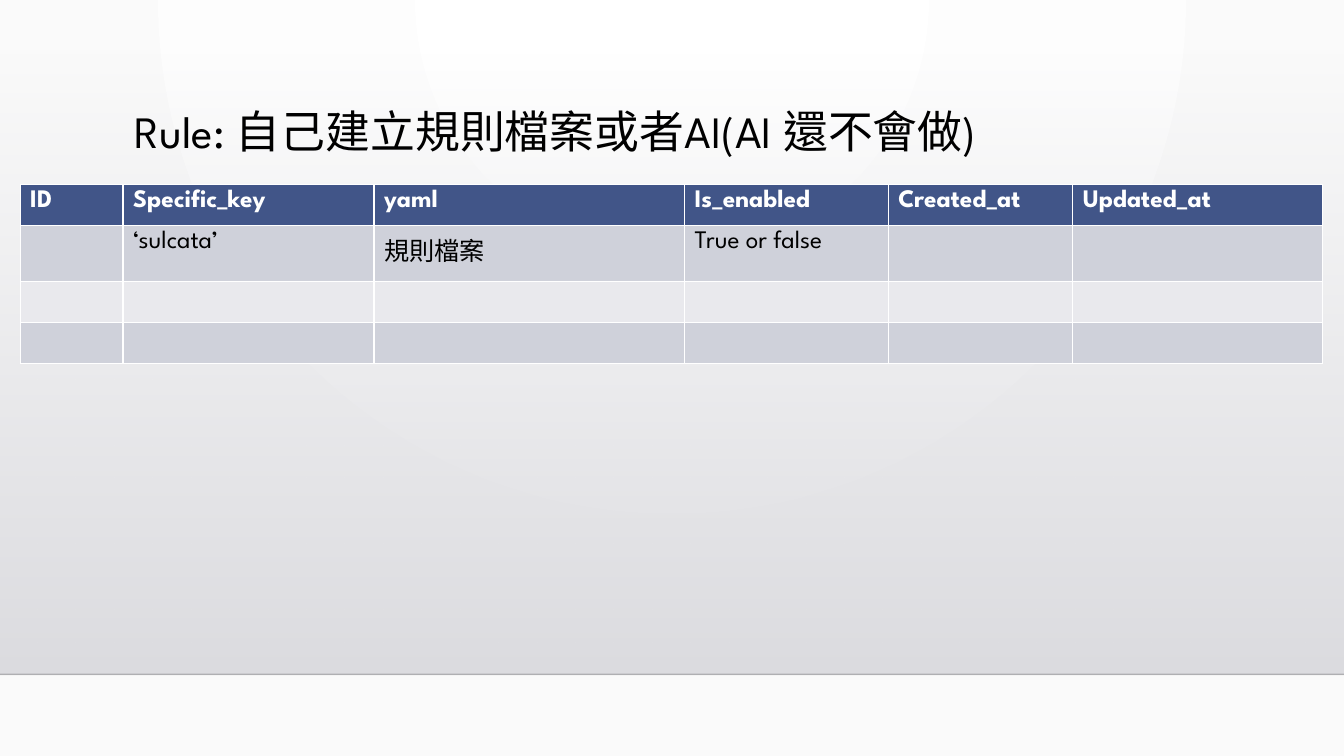
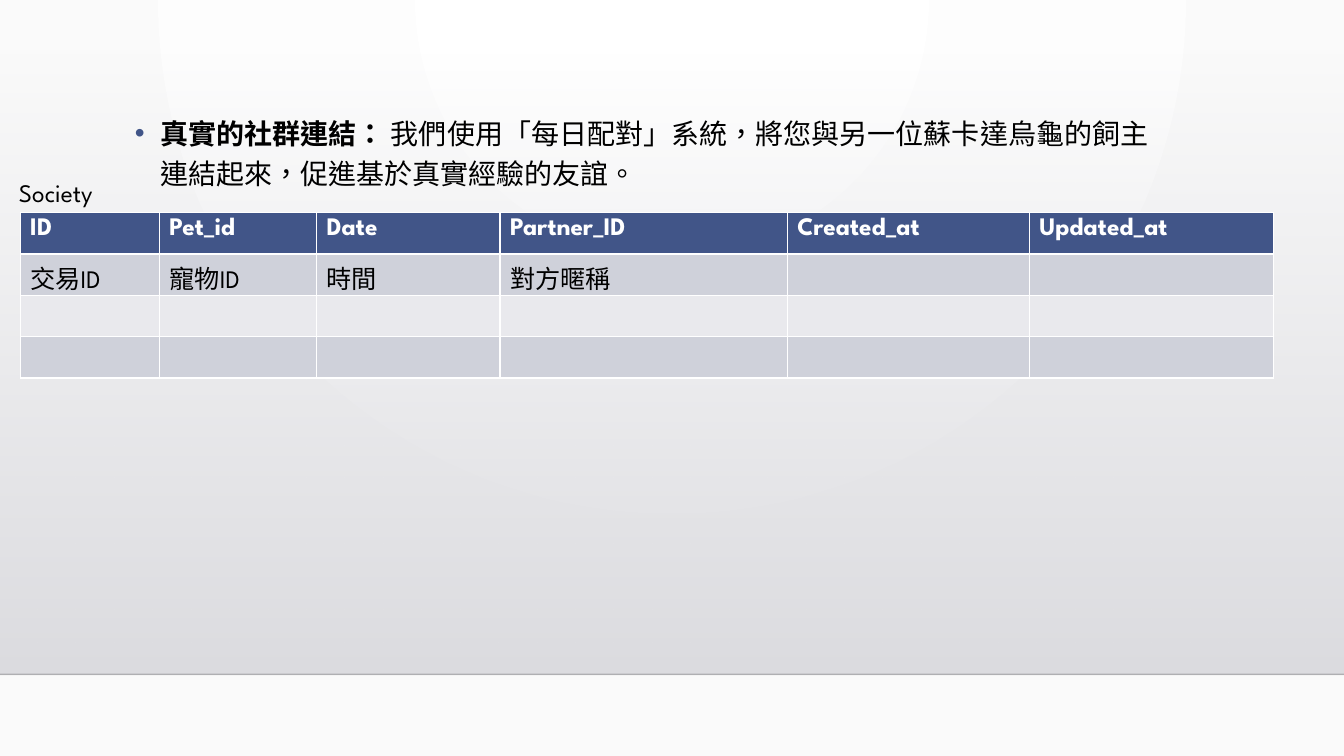
"""Build two data-table slides on a shared pale gradient backdrop."""
from dataclasses import dataclass

from lxml.etree import SubElement
from pptx import Presentation
from pptx.dml.color import RGBColor
from pptx.enum.lang import MSO_LANGUAGE_ID
from pptx.enum.shapes import MSO_CONNECTOR, MSO_SHAPE
from pptx.oxml import parse_xml
from pptx.oxml.ns import nsdecls, qn
from pptx.util import Inches, Pt


@dataclass(frozen=True)
class Theme:
    font: str = "League Spartan"
    ink: str = "000000"
    white: str = "FFFFFF"
    paper: str = "FAFAFA"
    accent: str = "415588"
    stripes: tuple = ("CFD1DA", "E9E9ED")
    band: tuple = ("DCDCE0", "DEDEE2")
    rule: str = "000001"
    title: int = 32
    body: int = 20
    cell: int = 18


THEME = Theme()
WIDTH, HEIGHT = 13.33, 7.5
BAND_TOP, BAND_BOTTOM = 0.51, 6.69
HEAD_LEFT, HEAD_TOP, HEAD_WIDTH = 1.24, 1.04, 10.5
TABLE_LEFT, ROW = 0.2, 0.41

SLIDES = [
    {
        "head": [("Rule: 自己建立規則檔案或者AI(AI 還不會做)", False)],
        "head_size": THEME.title, "head_height": 1.15, "spacing": 0.9,
        "bullet": False, "label": None,
        "top": 1.83, "columns": [1.02, 2.49, 3.08, 2.02, 1.83, 2.48],
        "heights": [ROW, 0.55, ROW, ROW],
        "rows": [
            ["ID", "Specific_key", "yaml", "Is_enabled", "Created_at", "Updated_at"],
            ["", "‘sulcata’", "規則檔案", "True or false", "", ""],
        ],
    },
    {
        "head": [
            ("真實的社群連結：", True),
            (" 我們使用「每日配對」系統，將您與另一位蘇卡達烏龜的飼主"
             "連結起來，促進基於真實經驗的友誼。", False),
        ],
        "head_size": THEME.body, "head_height": 1.37, "spacing": 1.2,
        "bullet": True, "label": ("Society", 0.09, 1.71, 4.64, 0.4),
        "top": 2.11, "columns": [1.38, 1.56, 1.82, 2.85, 2.4, 2.42],
        "heights": [ROW] * 4,
        "rows": [
            ["ID", "Pet_id", "Date", "Partner_ID", "Created_at", "Updated_at"],
            ["交易ID", "寵物ID", "時間", "對方暱稱", "", ""],
        ],
    },
]


def rgb(colour):
    return RGBColor.from_string(colour)


def gradient(stops, direction):
    marks = "".join(
        f'<a:gs pos="{pos * 1000}"><a:srgbClr val="{colour}">'
        f'<a:alpha val="{alpha * 1000}"/></a:srgbClr></a:gs>'
        for pos, colour, alpha in stops)
    return (f'<a:gradFill {nsdecls("a")} rotWithShape="1">'
            f'<a:gsLst>{marks}</a:gsLst>{direction}</a:gradFill>')


def add_backdrop(slide):
    glow = gradient(
        [(0, THEME.white, 100), (100, THEME.paper, 100)],
        '<a:path path="circle"><a:fillToRect l="43000" t="0" r="43000" b="100000"/></a:path>')
    slide.background.fill.solid()
    page = slide.background.fill
    page.fore_color.rgb = rgb(THEME.paper)
    properties = slide.element.find(".//" + qn("p:bgPr"))
    properties.replace(properties.find(qn("a:solidFill")), parse_xml(glow))

    band = slide.shapes.add_shape(
        MSO_SHAPE.RECTANGLE, 0, Inches(BAND_TOP),
        Inches(WIDTH), Inches(BAND_BOTTOM - BAND_TOP))
    band.shadow.inherit = False
    band.line.fill.background()
    band.fill.solid()
    fade = gradient([(0, THEME.band[0], 0), (100, THEME.band[1], 100)],
                    '<a:lin ang="5400000" scaled="0"/>')
    outline = band.element.spPr
    outline.replace(outline.find(qn("a:solidFill")), parse_xml(fade))

    floor = slide.shapes.add_connector(
        MSO_CONNECTOR.STRAIGHT, 0, Inches(BAND_BOTTOM),
        Inches(WIDTH), Inches(BAND_BOTTOM))
    floor.line.width = Pt(1)
    floor.line.color.rgb = rgb(THEME.rule)
    ink = floor.element.find(".//" + qn("a:srgbClr"))
    SubElement(ink, qn("a:alpha")).set("val", "20000")
    SubElement(floor.element.spPr, qn("a:effectLst"))


def add_run(paragraph, words, size, colour=THEME.ink, bold=False):
    run = paragraph.add_run()
    run.text = words
    run.font.name = THEME.font
    run.font.size = Pt(size)
    run.font.bold = bold
    run.font.color.rgb = rgb(colour)
    run.font.language_id = MSO_LANGUAGE_ID.TRADITIONAL_CHINESE


def add_text(slide, box, runs, size):
    frame = slide.shapes.add_textbox(*map(Inches, box)).text_frame
    frame.word_wrap = True
    paragraph = frame.paragraphs[0]
    for words, bold in runs:
        add_run(paragraph, words, size, bold=bold)
    return paragraph


def add_bullet(paragraph):
    paragraph.space_before = Pt(10)
    properties = paragraph._p.get_or_add_pPr()
    properties.set("marL", str(Inches(0.25)))
    properties.set("indent", str(-Inches(0.25)))
    tint = SubElement(properties, qn("a:buClr"))
    SubElement(tint, qn("a:srgbClr")).set("val", THEME.accent)
    SubElement(properties, qn("a:buFont")).set("typeface", "Arial")
    SubElement(properties, qn("a:buChar")).set("char", "•")


def add_records(slide, content):
    columns, heights = content["columns"], content["heights"]
    records = slide.shapes.add_table(
        len(heights), len(columns), Inches(TABLE_LEFT), Inches(content["top"]),
        Inches(sum(columns)), Inches(sum(heights))).table
    for column, width in zip(records.columns, columns):
        column.width = Inches(width)
    for index, (row, height) in enumerate(zip(records.rows, heights)):
        row.height = Inches(height)
        header = index == 0
        for position, cell in enumerate(row.cells):
            cell.fill.solid()
            cell.fill.fore_color.rgb = rgb(
                THEME.accent if header else THEME.stripes[(index - 1) % 2])
            words = content["rows"][index][position] if index < len(content["rows"]) else ""
            if words:
                add_run(cell.text_frame.paragraphs[0], words, THEME.cell,
                        THEME.white if header else THEME.ink, header)


def main():
    deck = Presentation()
    deck.slide_width, deck.slide_height = Inches(WIDTH), Inches(HEIGHT)
    for content in SLIDES:
        slide = deck.slides.add_slide(deck.slide_layouts[6])
        add_backdrop(slide)
        head = add_text(
            slide, (HEAD_LEFT, HEAD_TOP, HEAD_WIDTH, content["head_height"]),
            content["head"], content["head_size"])
        head.line_spacing = content["spacing"]
        if content["bullet"]:
            add_bullet(head)
        add_records(slide, content)
        if content["label"]:
            name, *box = content["label"]
            add_text(slide, box, [(name, False)], THEME.cell)
    deck.save("out.pptx")


if __name__ == "__main__":
    main()
